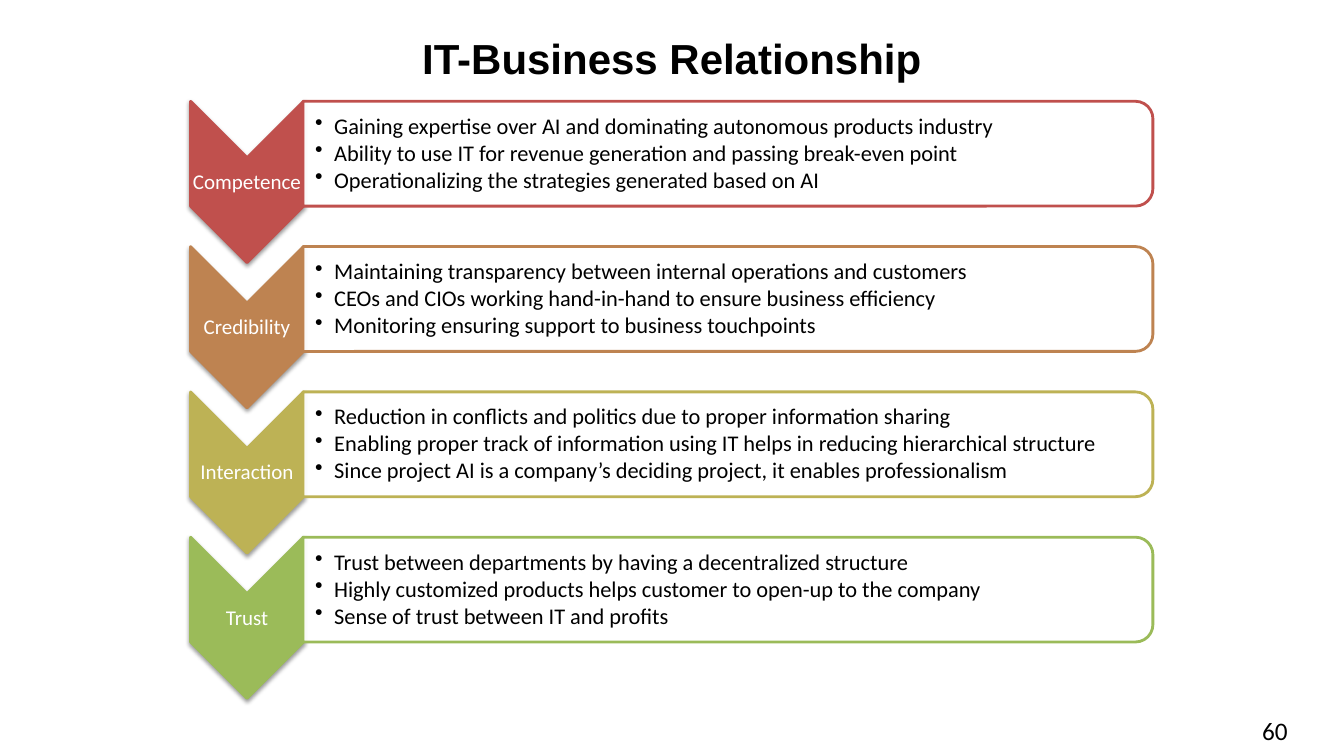
from dataclasses import dataclass

from lxml import etree
from pptx import Presentation
from pptx import util as u
from pptx.dml.color import RGBColor
from pptx.enum import shapes, text
from pptx.oxml import parse_xml
from pptx.oxml.ns import nsdecls, qn


@dataclass(frozen=True)
class Theme:
    heading_font: str = "Arial"
    body_font: str = "Calibri"
    ink: str = "000000"
    paper: str = "FFFFFF"
    title_size: int = 30
    page_size: int = 18
    bullet_size: int = 16
    label_size: int = 15
    border: int = 2
    accents: tuple = ("C0504D", "BE8351", "BDB255", "9BBB59")


# Content, one entry for each row
RELATIONSHIPS = [
    ("Competence", [
        "Gaining expertise over AI and dominating autonomous products industry",
        "Ability to use IT for revenue generation and passing break-even point",
        "Operationalizing the strategies generated based on AI"]),
    ("Credibility", [
        "Maintaining transparency between internal operations and customers",
        "CEOs and CIOs working hand-in-hand to ensure business efficiency",
        "Monitoring ensuring support to business touchpoints"]),
    ("Interaction", [
        "Reduction in conflicts and politics due to proper information sharing",
        "Enabling proper track of information using IT helps in reducing hierarchical structure",
        "Since project AI is a company’s deciding project, it enables professionalism"]),
    ("Trust", [
        "Trust between departments by having a decentralized structure",
        "Highly customized products helps customer to open-up to the company",
        "Sense of trust between IT and profits"]),
]

# Grid of 100 columns by 100 rows
FIRST_ROW, ROW_PITCH = 13.4, 19.22
CHEVRON_LEFT, CHEVRON_WIDTH, CHEVRON_HEIGHT = 14.18, 8.4, 21.33
PANEL_LEFT, PANEL_WIDTH, PANEL_HEIGHT = 22.54, 63.24, 13.87
LABEL_OFFSET, LABEL_HEIGHT = 7.53, 6.4
BULLETS_OFFSET, BULLETS_WIDTH, BULLETS_HEIGHT = 0.7, 62.87, 12.53


class SlideBuilder:
    def __init__(self, presentation, theme):
        self.theme = theme
        self.slide = presentation.slides.add_slide(presentation.slide_layouts[6])
        self.column = presentation.slide_width / 100
        self.row = presentation.slide_height / 100

    def box(self, left, top, width, height):
        return [round(length) for length in (left * self.column, top * self.row,
                                             width * self.column, height * self.row)]

    def turned_shape(self, kind, area, fill, line):
        """Add a shape turned a quarter clockwise that covers the given area."""
        left, top, width, height = self.box(*area)
        shift = (width - height) // 2
        shape = self.slide.shapes.add_shape(kind, left + shift, top - shift, height, width)
        shape.rotation = 90
        shape.shadow.inherit = False
        shape.fill.solid()
        shape.fill.fore_color.rgb = RGBColor.from_string(fill)
        shape.line.color.rgb = RGBColor.from_string(line)
        shape.line.width = u.Pt(self.theme.border)
        return shape

    def chevron(self, top, color):
        shape = self.turned_shape(shapes.MSO_SHAPE.CHEVRON,
                                  (CHEVRON_LEFT, top, CHEVRON_WIDTH, CHEVRON_HEIGHT),
                                  color, color)
        effects = shape._element.spPr.find(qn("a:effectLst"))
        effects.append(parse_xml(
            f'<a:outerShdw {nsdecls("a")} blurRad="{u.Pt(3.1)}" dist="{u.Pt(1.6)}" '
            'dir="5400000" rotWithShape="0"><a:srgbClr val="000000">'
            '<a:alpha val="38000"/></a:srgbClr></a:outerShdw>'))

    def panel(self, top, color):
        shape = self.turned_shape(shapes.MSO_SHAPE.ROUND_2_SAME_RECTANGLE,
                                  (PANEL_LEFT, top, PANEL_WIDTH, PANEL_HEIGHT),
                                  self.theme.paper, color)
        fill_color = shape._element.spPr.find(qn("a:solidFill"))[0]
        etree.SubElement(fill_color, qn("a:alpha"), val="90000")

    def text(self, area, lines, size, color=None, font=None, bold=False, centered=False,
             insets=(0.1, 0.05, 0.1, 0.05), spacing=None, after=None, bullets=False):
        frame = self.slide.shapes.add_textbox(*self.box(*area)).text_frame
        frame.word_wrap = True
        frame.vertical_anchor = text.MSO_ANCHOR.MIDDLE
        (frame.margin_left, frame.margin_top,
         frame.margin_right, frame.margin_bottom) = map(u.Inches, insets)
        frame.text = "\n".join(lines)
        for paragraph in frame.paragraphs:
            if bullets:
                properties = paragraph._p.get_or_add_pPr()
                properties.set("marL", str(u.Inches(0.19)))
                properties.set("indent", str(-u.Inches(0.19)))
                etree.SubElement(properties, qn("a:buChar"), char="•")
            if centered:
                paragraph.alignment = text.PP_ALIGN.CENTER
            if spacing:
                paragraph.line_spacing = spacing
            if after:
                paragraph.space_after = u.Pt(after)
            paragraph.font.name = font or self.theme.body_font
            paragraph.font.size = u.Pt(size)
            paragraph.font.bold = bold
            paragraph.font.color.rgb = RGBColor.from_string(color or self.theme.ink)

    def relationship(self, top, color, label, points):
        self.chevron(top, color)
        self.text((CHEVRON_LEFT, top + LABEL_OFFSET, CHEVRON_WIDTH, LABEL_HEIGHT), [label],
                  self.theme.label_size, self.theme.paper, centered=True,
                  insets=(0.01,) * 4, spacing=0.9)
        self.panel(top, color)
        self.text((PANEL_LEFT, top + BULLETS_OFFSET, BULLETS_WIDTH, BULLETS_HEIGHT), points,
                  self.theme.bullet_size, insets=(0.12, 0.01, 0.01, 0.01),
                  spacing=0.9, after=2, bullets=True)


def main():
    presentation = Presentation()
    presentation.slide_width, presentation.slide_height = u.Inches(13.33), u.Inches(7.5)
    theme = Theme()
    builder = SlideBuilder(presentation, theme)

    # Title and page number
    builder.text((10.05, 3.73, 79.9, 7.87), ["IT-Business Relationship"], theme.title_size,
                 font=theme.heading_font, bold=True, centered=True)
    builder.text((93.17, 94, 5.18, 5.33), ["60"], theme.page_size)

    # Chevron rows
    for index, (color, (label, points)) in enumerate(zip(theme.accents, RELATIONSHIPS)):
        builder.relationship(FIRST_ROW + index * ROW_PITCH, color, label, points)

    presentation.save("out.pptx")


if __name__ == "__main__":
    main()
